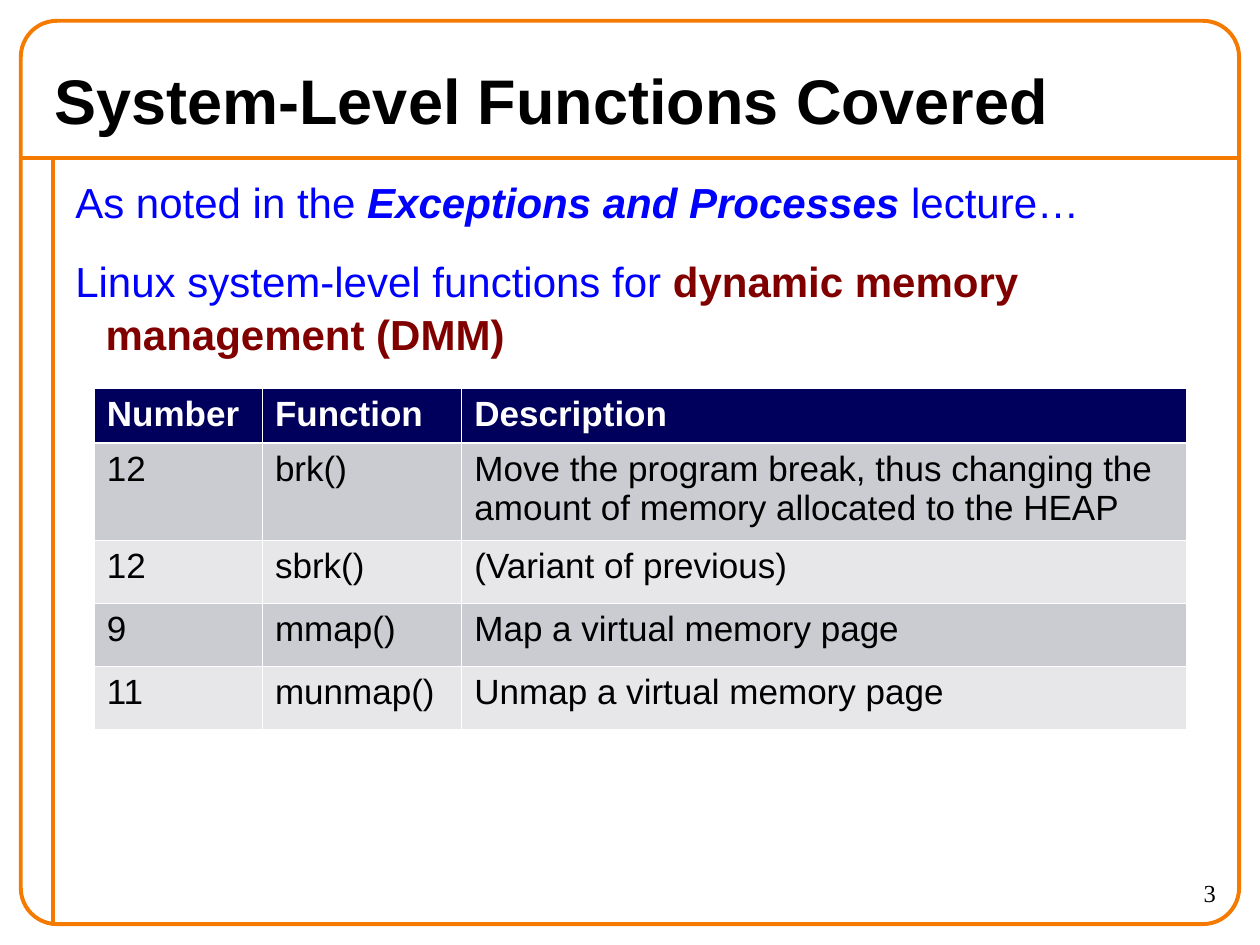
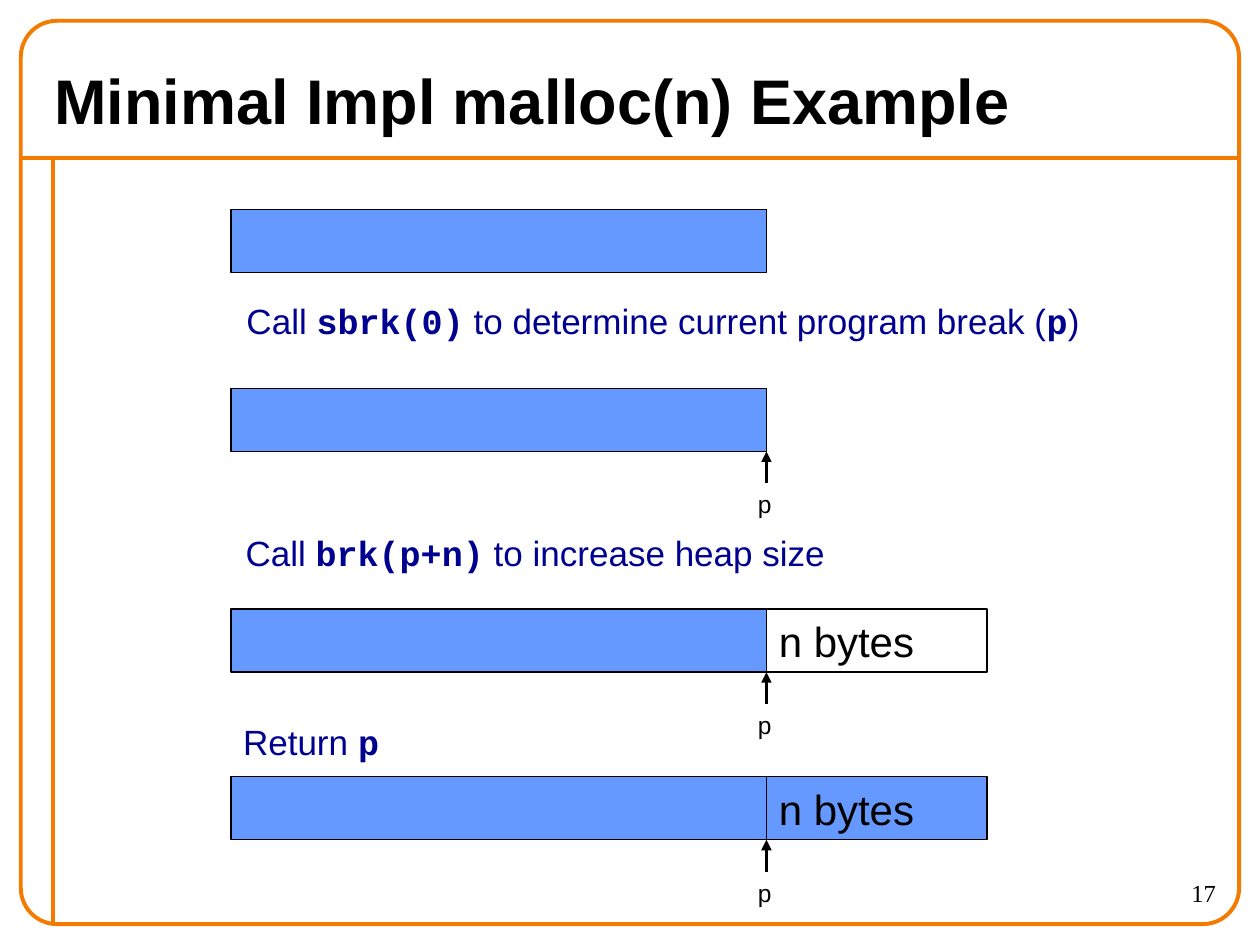
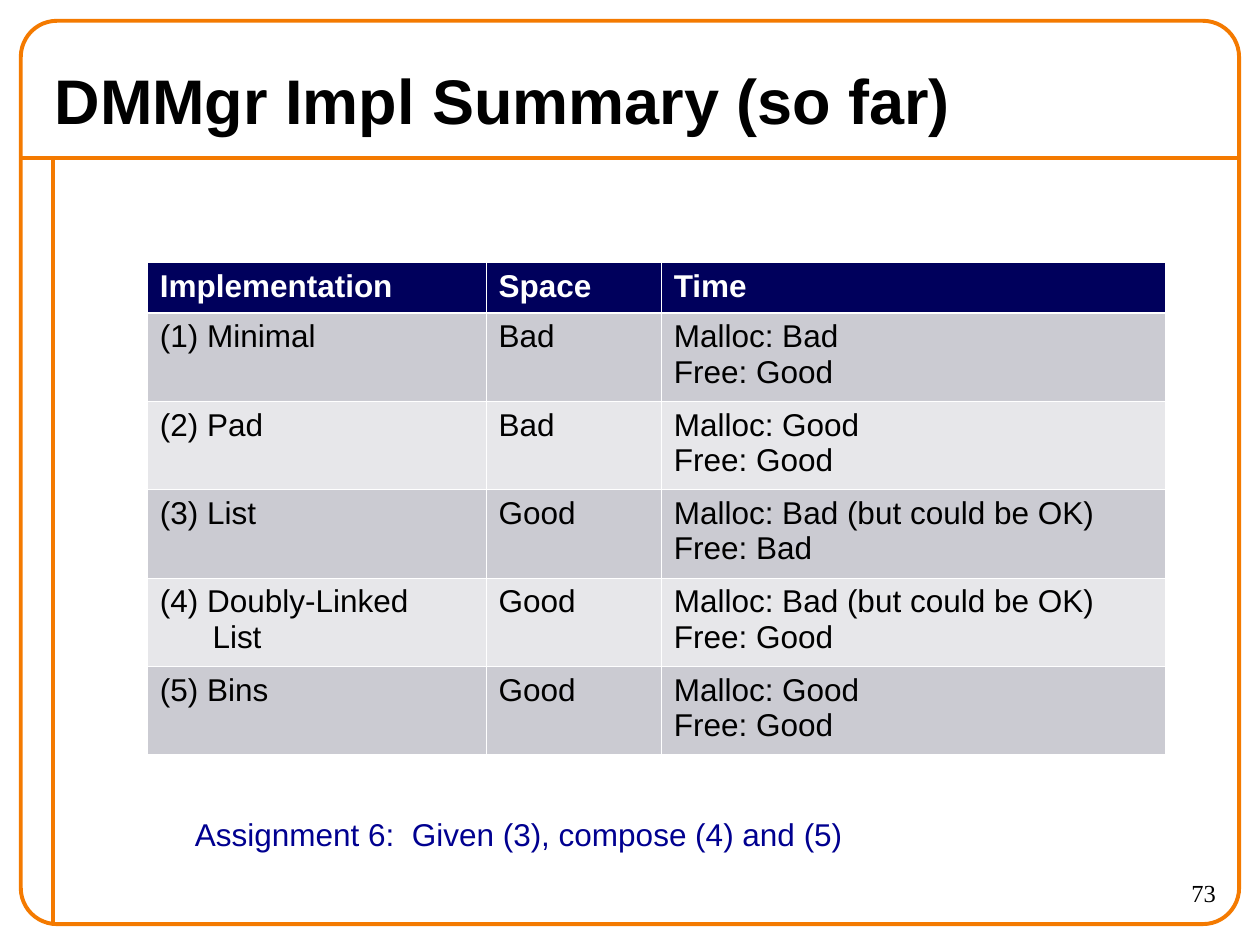
from dataclasses import dataclass

from lxml import etree
from pptx import Presentation
from pptx.dml.color import RGBColor
from pptx.enum import shapes, text
from pptx.oxml.ns import qn
from pptx.util import Cm, Pt


@dataclass(frozen=True)
class Theme:
    sans: str = "Arial"
    mono: str = "Courier New"
    serif: str = "Times New Roman"
    black: str = "000000"
    white: str = "FFFFFF"
    orange: str = "F47A00"
    blue: str = "0000FF"
    maroon: str = "800000"
    navy: str = "000090"
    heap: str = "6699FF"
    header: str = "00005C"
    bands: tuple = ("CBCBD2", "E7E7EA")
    title: int = 36
    body: int = 24
    caption: int = 20
    note: int = 18
    small: int = 14


theme = Theme()
styles = {
    "code": {"name": theme.mono, "bold": True},
    "emphasis": {"bold": True, "italic": True},
    "key": {"bold": True, "color": theme.maroon},
}


def write(frame, paragraphs, size, color=theme.black, name=theme.sans, bold=False):
    for index, runs in enumerate(paragraphs):
        line = frame.paragraphs[0] if index == 0 else frame.add_paragraph()
        line.alignment = text.PP_ALIGN.LEFT
        line.font.size, line.font.name, line.font.bold = Pt(size), name, bold
        line.font.color.rgb = RGBColor.from_string(color)
        for words, style in [(runs, None)] if isinstance(runs, str) else runs:
            run = line.add_run()
            run.text = words
            for key, value in styles.get(style, {}).items():
                if key == "color":
                    run.font.color.rgb = RGBColor.from_string(value)
                else:
                    setattr(run.font, key, value)
    return frame


def draw_line(slide, x1, y1, x2, y2, color, width):
    line = slide.shapes.add_connector(
        shapes.MSO_CONNECTOR.STRAIGHT, Cm(x1), Cm(y1), Cm(x2), Cm(y2))
    line.line.color.rgb = RGBColor.from_string(color)
    line.line.width = Pt(width)
    etree.SubElement(line._element.spPr, qn("a:effectLst"))
    return line


deck = Presentation()
deck.slide_width, deck.slide_height = Cm(25.4), Cm(19.05)
margin, title_rule, side_rule = 0.42, 3.18, 1.06
right, bottom = 25.4 - margin, 19.05 - margin

pages = []
for title, number in (
    ("System-Level Functions Covered", "3"),
    ("Minimal Impl malloc(n) Example", "17"),
    ("DMMgr Impl Summary (so far)", "73"),
):
    page = deck.slides.add_slide(deck.slide_layouts[6])
    pages.append(page)
    draw_line(page, margin, title_rule, right, title_rule, theme.orange, 2.25)
    draw_line(page, side_rule, title_rule, side_rule, bottom, theme.orange, 2.25)
    border = page.shapes.add_shape(
        shapes.MSO_SHAPE.ROUNDED_RECTANGLE,
        Cm(margin), Cm(margin), Cm(right - margin), Cm(bottom - margin))
    border.adjustments[0] = 0.04
    border.shadow.inherit = False
    border.fill.background()
    border.line.color.rgb = RGBColor.from_string(theme.orange)
    border.line.width = Pt(2.25)
    heading = page.shapes.add_textbox(Cm(0.85), Cm(1.06), Cm(23.7), Cm(1.9)).text_frame
    heading.word_wrap = True
    heading.vertical_anchor = text.MSO_ANCHOR.MIDDLE
    write(heading, [title], theme.title, bold=True)
    folio = page.shapes.add_textbox(Cm(22.22), Cm(17.57), Cm(2.54), Cm(1.06)).text_frame
    folio.word_wrap = True
    write(folio, [number], theme.small, name=theme.serif)
    folio.paragraphs[0].alignment = text.PP_ALIGN.RIGHT

functions_page, malloc_page, summary_page = pages

intro = functions_page.shapes.add_textbox(Cm(1.27), Cm(3.39), Cm(23.5), Cm(15.24)).text_frame
intro.word_wrap = True
write(intro, [
    [("As noted in the ", None), ("Exceptions and Processes ", "emphasis"), ("lecture…", None)],
    [("Linux system-level functions for ", None),
     ("dynamic memory management (DMM)", "key")],
], theme.body, theme.blue)
for sentence in intro.paragraphs:
    sentence.line_spacing = 1.05
    hanging = sentence._p.get_or_add_pPr()
    hanging.set("marL", str(Cm(0.61)))
    hanging.set("indent", str(-Cm(0.61)))
intro.paragraphs[1].space_before = Pt(15)

functions = [
    ("Number", "Function", "Description"),
    ("12", "brk()", "Move the program break, thus changing the amount of memory allocated to the HEAP"),
    ("12", "sbrk()", "(Variant of previous)"),
    ("9", "mmap()", "Map a virtual memory page"),
    ("11", "munmap()", "Unmap a virtual memory page"),
]
summary = [
    ("Implementation", "Space", "Time"),
    ("(1) Minimal", "Bad", "Malloc: Bad\nFree: Good"),
    ("(2) Pad", "Bad", "Malloc: Good\nFree: Good"),
    ("(3) List", "Good", "Malloc: Bad (but could be OK)\nFree: Bad"),
    ("(4) Doubly-Linked\nList", "Good", "Malloc: Bad (but could be OK)\nFree: Good"),
    ("(5) Bins", "Good", "Malloc: Good\nFree: Good"),
]
grids = []
for page, rows, x, y, widths, heights, size in (
    (functions_page, functions, 1.9, 7.83, (3.39, 4.02, 14.6), [1.09, 1.96] + [1.27] * 3, theme.caption),
    (summary_page, summary, 2.97, 5.29, (6.83, 3.53, 10.16), [1.02] + [1.78] * 5, theme.note),
):
    grid = page.shapes.add_table(
        len(rows), len(widths), Cm(x), Cm(y), Cm(sum(widths)), Cm(sum(heights))).table
    grids.append(grid)
    for column, width in zip(grid.columns, widths):
        column.width = Cm(width)
    for r, (row, height) in enumerate(zip(rows, heights)):
        grid.rows[r].height = Cm(height)
        for c, words in enumerate(row):
            cell = grid.cell(r, c)
            properties = cell._tc.get_or_add_tcPr()
            for side in "LRTB":
                heavy = (r, side) in ((0, "B"), (1, "T"))
                edge = etree.SubElement(
                    properties, qn("a:ln" + side), w=str(Pt(1.47 if heavy else 0.45)))
                paint = etree.SubElement(edge, qn("a:solidFill"))
                etree.SubElement(paint, qn("a:srgbClr"), val=theme.white)
            cell.fill.solid()
            cell.fill.fore_color.rgb = RGBColor.from_string(
                theme.bands[(r - 1) % 2] if r else theme.header)
            write(cell.text_frame, words.split("\n"), size,
                  theme.black if r else theme.white, bold=r == 0)
continuation = grids[1].cell(4, 0).text_frame.paragraphs[1]
continuation._p.get_or_add_pPr().set("marL", str(Cm(1.06)))

heap_left, heap_width, bytes_width, bar_height = 4.66, 10.79, 4.45, 1.27
program_break = heap_left + heap_width
for top, marked, bytes_fill in (
    (4.23, False, None),
    (7.83, True, None),
    (12.28, True, theme.white),
    (15.66, True, theme.heap),
):
    blocks = [(heap_left, heap_width, theme.heap, None)]
    if bytes_fill:
        blocks.append((program_break, bytes_width, bytes_fill, "n bytes"))
    for left, width, fill, label in blocks:
        block = malloc_page.shapes.add_shape(
            shapes.MSO_SHAPE.RECTANGLE, Cm(left), Cm(top), Cm(width), Cm(bar_height))
        block.shadow.inherit = False
        block.fill.solid()
        block.fill.fore_color.rgb = RGBColor.from_string(fill)
        block.line.color.rgb = RGBColor.from_string(theme.black)
        block.line.width = Pt(0.75)
        if label:
            write(block.text_frame, [label], theme.body)
    if marked:
        base = top + bar_height
        arrow = draw_line(malloc_page, program_break, base + 0.64,
                          program_break, base, theme.black, 2)
        etree.SubElement(arrow.line._get_or_add_ln(), qn("a:tailEnd"), type="triangle")
        pointer = malloc_page.shapes.add_textbox(
            Cm(program_break - 0.42), Cm(base + 0.64), Cm(1.06), Cm(0.86)).text_frame
        pointer.word_wrap = True
        write(pointer, ["p"], theme.small)

for page, x, y, width, height, size, words in (
    (malloc_page, 4.72, 5.92, 17.3, 1.12, theme.caption,
     [("Call ", None), ("sbrk(0)", "code"), (" to determine current program break (", None),
      ("p", "code"), (")", None)]),
    (malloc_page, 4.7, 10.58, 12.2, 1.12, theme.caption,
     [("Call ", None), ("brk(p+n)", "code"), (" to increase heap size", None)]),
    (malloc_page, 4.65, 14.4, 4.45, 1.12, theme.caption,
     [("Return ", None), ("p", "code")]),
    (summary_page, 3.68, 16.3, 13.56, 1.02, theme.note,
     "Assignment 6:  Given (3), compose (4) and (5)"),
):
    caption = page.shapes.add_textbox(Cm(x), Cm(y), Cm(width), Cm(height)).text_frame
    caption.word_wrap = False
    write(caption, [words], size, theme.navy)

deck.save("out.pptx")
